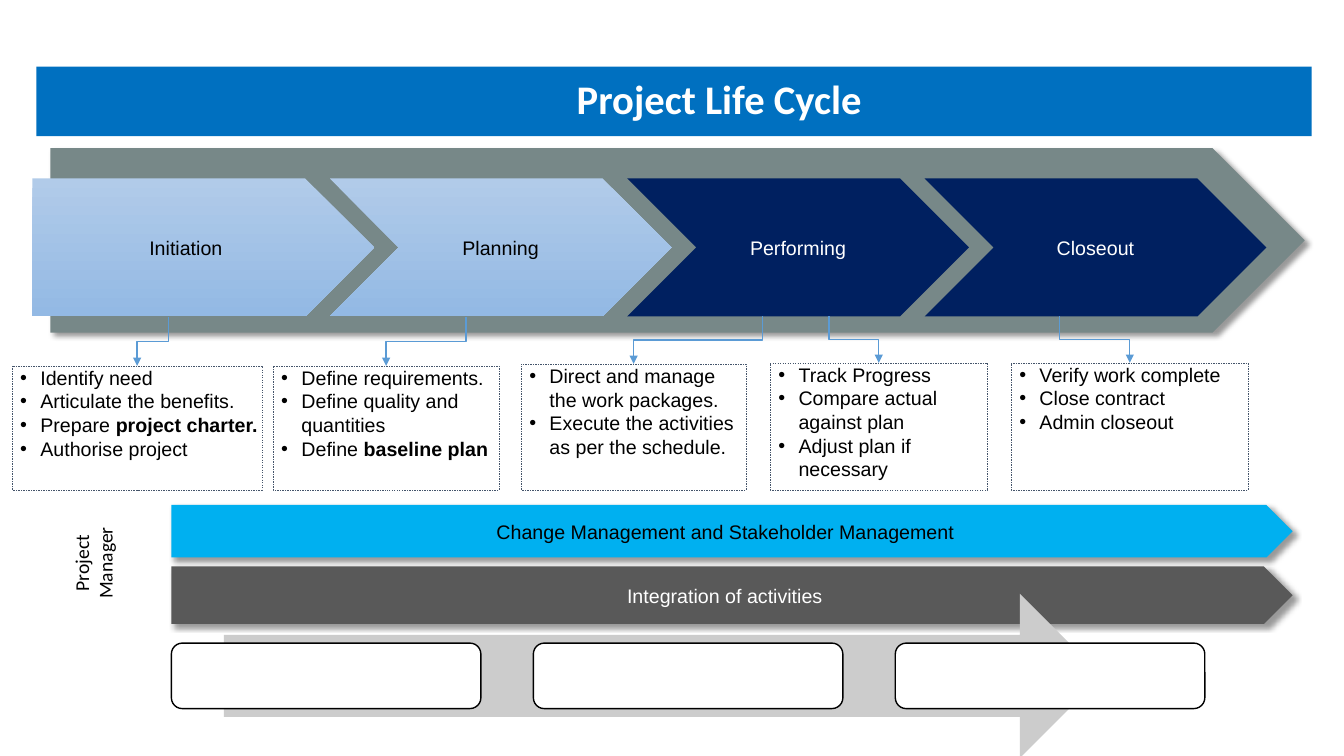
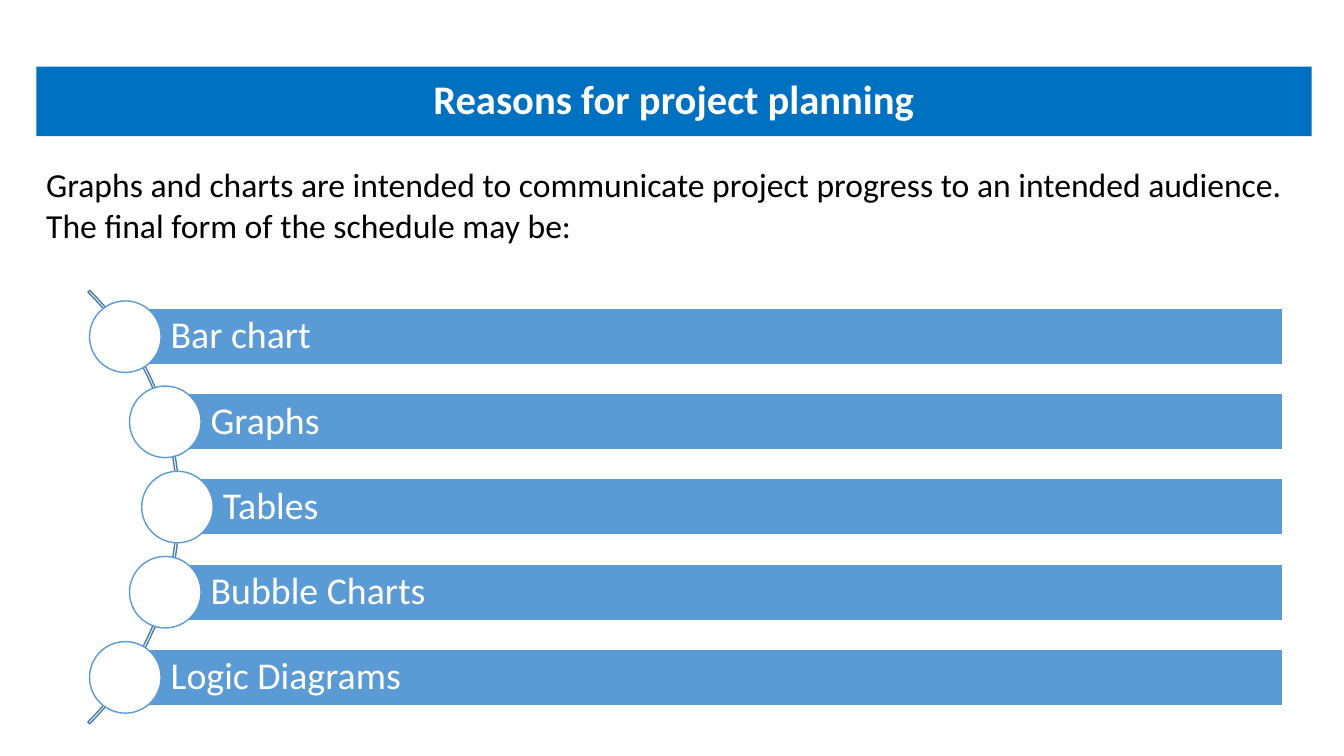
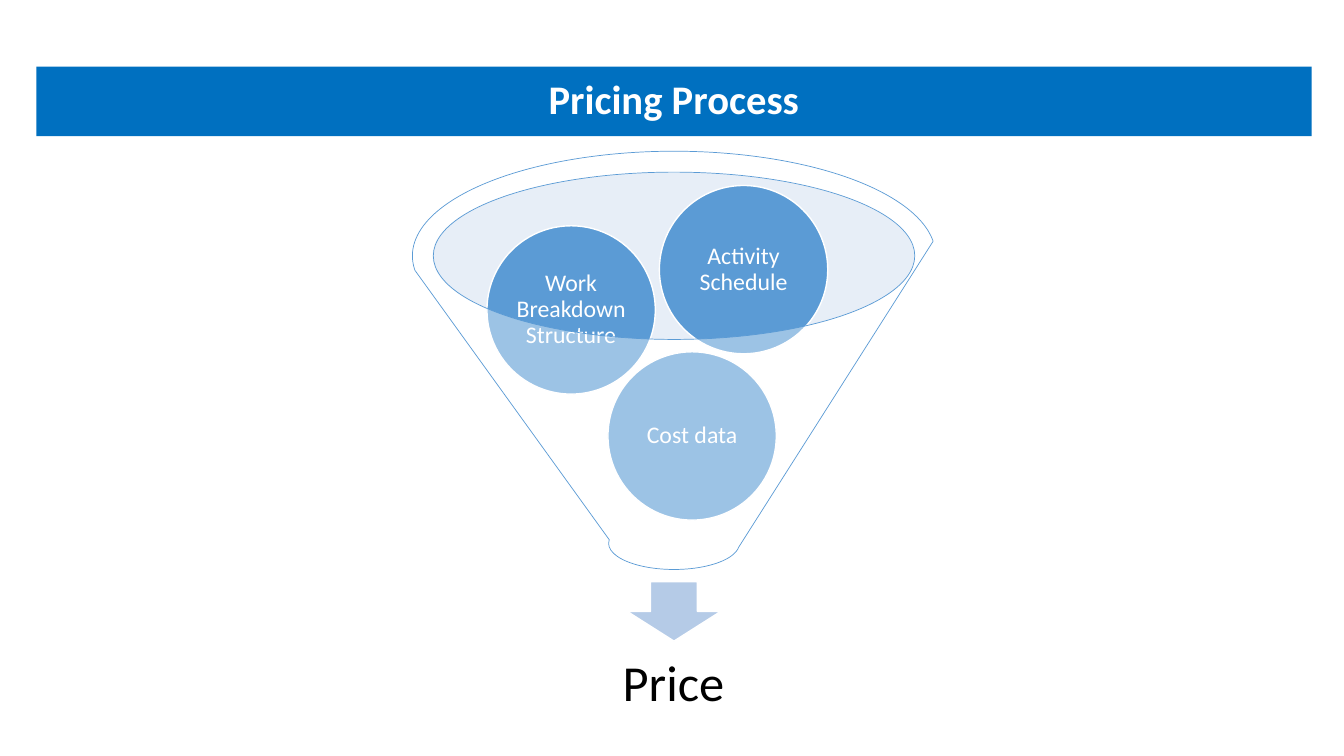
from math import sqrt

from lxml.etree import SubElement
from pptx import Presentation
from pptx.dml.color import RGBColor
from pptx.enum.dml import MSO_LINE
from pptx.enum.shapes import MSO_CONNECTOR, MSO_SHAPE
from pptx.enum.text import MSO_ANCHOR, MSO_AUTO_SIZE, PP_ALIGN
from pptx.oxml.ns import qn
from pptx.util import Emu, Pt

PX = 9144  # 100 px to the inch
BAND = (36, 66, 1265, 69)
BAND_BLUE = "0070C0"
ACCENT = "5B9BD5"
NAVY = "002060"
WHITE = "FFFFFF"
BLACK = "000000"
PALE_BLUES = ("B1CBE9", "93B9E4")


def px(length):
    return Emu(round(length * PX))


def rgb(hex_code):
    return RGBColor.from_string(hex_code)


def set_fill(shape, fill, opacity=None):
    """Fill with nothing, one colour, or a top-to-bottom pair of colours."""
    if fill is None:
        shape.fill.background()
    elif isinstance(fill, tuple):
        shape.fill.gradient()
        shape.fill.gradient_angle = 270
        for stop, colour in zip(shape.fill.gradient_stops, fill):
            stop.color.rgb = rgb(colour)
    else:
        shape.fill.solid()
        shape.fill.fore_color.rgb = rgb(fill)
        if opacity is not None:
            colour = shape._element.xpath("p:spPr/a:solidFill/a:srgbClr")[0]
            SubElement(colour, qn("a:alpha"), val=str(opacity * 1000))


def cast_shadow(shape):
    effects = shape._element.spPr.find(qn("a:effectLst"))
    shadow = SubElement(effects, qn("a:outerShdw"), blurRad=str(Pt(4)),
                        dist=str(Pt(3)), dir="2700000", algn="tl", rotWithShape="0")
    colour = SubElement(shadow, qn("a:srgbClr"), val=BLACK)
    SubElement(colour, qn("a:alpha"), val="40000")


def add_box(slide, kind, box, fill=None, opacity=None, line=None, width=1,
            dash=None, shadow=False):
    shape = slide.shapes.add_shape(kind, *map(px, box))
    set_fill(shape, fill, opacity)
    if line:
        shape.line.color.rgb = rgb(line)
        shape.line.width = Pt(width)
        if dash:
            shape.line.dash_style = dash
    else:
        shape.line.fill.background()
    shape.shadow.inherit = False
    if shadow:
        cast_shadow(shape)
    return shape


def add_bullet(paragraph):
    properties = paragraph._p.get_or_add_pPr()
    properties.set("marL", str(px(20)))
    properties.set("indent", str(-px(20)))
    SubElement(properties, qn("a:buFont"), typeface="Arial")
    SubElement(properties, qn("a:buChar"), char="•")


def write(shape, *paragraphs, size=14, font="Arial", colour=BLACK, bold=False,
          align=PP_ALIGN.CENTER, anchor=MSO_ANCHOR.MIDDLE, insets=(10, 5, 10, 5),
          spacing=None, bullets=False):
    """A paragraph is a string, or a pair of plain text and bold text."""
    frame = shape.text_frame
    frame.word_wrap = True
    frame.auto_size = MSO_AUTO_SIZE.NONE
    frame.vertical_anchor = anchor
    (frame.margin_left, frame.margin_top,
     frame.margin_right, frame.margin_bottom) = map(px, insets)
    for index, content in enumerate(paragraphs):
        paragraph = frame.add_paragraph() if index else frame.paragraphs[0]
        paragraph.alignment = align
        if spacing:
            paragraph.line_spacing = spacing
        if bullets:
            add_bullet(paragraph)
        parts = (content,) if isinstance(content, str) else content
        for position, words in enumerate(parts):
            run = paragraph.add_run()
            run.text = words
            run.font.name = font
            run.font.size = Pt(size)
            run.font.bold = bold or position > 0
            run.font.color.rgb = rgb(colour)


def add_label(slide, box, words, **style):
    label = slide.shapes.add_textbox(*map(px, box))
    write(label, words, font="Calibri", **style)
    return label


def add_titled_slide(prs, heading, indent=0):
    slide = prs.slides.add_slide(prs.slide_layouts[5])
    title = slide.shapes.title
    title.left, title.top, title.width, title.height = map(px, BAND)
    set_fill(title, BAND_BLUE)
    write(title, heading, size=29, font="Calibri", colour=WHITE, bold=True,
          spacing=0.9, insets=(10 + indent, 5, 10, 5))
    return slide


def add_drop_arrow(slide, start, end):
    """Elbow arrow that leaves downwards, steps sideways and drops onto its end."""
    (x1, y1), (x2, y2) = start, end
    run, rise = y2 - y1, abs(x2 - x1)
    left, top = (x1 + x2 - run) / 2, (y1 + y2 - rise) / 2
    arrow = slide.shapes.add_connector(MSO_CONNECTOR.ELBOW, px(left), px(top),
                                       px(left + run), px(top + rise))
    arrow.line.color.rgb = rgb(ACCENT)
    arrow.line.width = Pt(1)
    properties = arrow._element.spPr
    if x2 < x1:
        properties.xfrm.set("rot", "5400000")
    else:
        properties.xfrm.set("rot", "16200000")
        properties.xfrm.set("flipH", "1")
    SubElement(properties.find(qn("a:ln")), qn("a:tailEnd"), type="triangle")
    SubElement(properties, qn("a:effectLst"))


def add_phases(slide, left, top):
    add_box(slide, MSO_SHAPE.PENTAGON, (left + 18, top, 1244, 183),
            fill="778888", shadow=True)
    phases = (("Initiation", PALE_BLUES, BLACK), ("Planning", PALE_BLUES, BLACK),
              ("Performing", NAVY, WHITE), ("Closeout", NAVY, WHITE))
    for index, (name, fill, colour) in enumerate(phases):
        kind = MSO_SHAPE.CHEVRON if index else MSO_SHAPE.PENTAGON
        phase = add_box(slide, kind, (left + 295 * index, top + 30, 339, 137), fill=fill)
        write(phase, name, colour=colour)


def add_task_lists(slide, phase_bottom, bottom):
    lists = (
        (12, 363, 248, 167, ("Identify need", "Articulate the benefits.",
                             ("Prepare ", "project charter."), "Authorise project")),
        (271, 363, 224, 462, ("Define requirements.", "Define quality and quantities",
                              ("Define ", "baseline plan"))),
        (517, 361, 223, 756, ("Direct and manage the work packages.",
                              "Execute the activities as per the schedule.")),
        (764, 360, 215, 822, ("Track Progress", "Compare actual against plan",
                              "Adjust plan if necessary")),
        (1003, 360, 235, 1051, ("Verify work complete", "Close contract",
                                "Admin closeout")),
    )
    for left, top, width, source, tasks in lists:
        panel = add_box(slide, MSO_SHAPE.RECTANGLE, (left, top, width, bottom - top),
                        line="44546A", width=0.25, dash=MSO_LINE.DASH)
        write(panel, *tasks, align=PP_ALIGN.LEFT, anchor=MSO_ANCHOR.TOP,
              insets=(8, 0, 3, 0), bullets=True)
        add_drop_arrow(slide, (source, phase_bottom), (left + width / 2, top))


def add_manager_duties(slide, left, top):
    duties = (("Change Management and Stakeholder Management", 0, 52, "00B0F0", BLACK),
              ("Integration of activities", 61, 57, "595959", WHITE))
    for name, offset, height, fill, colour in duties:
        duty = add_box(slide, MSO_SHAPE.PENTAGON, (left, top + offset, 1112, height),
                       fill=fill, shadow=True)
        write(duty, name, colour=colour)
    role = add_label(slide, (left - 106, top, 67, 115), "Project Manager",
                     anchor=MSO_ANCHOR.TOP)
    role.text_frame._txBody.bodyPr.set("vert", "vert270")


def add_empty_steps(slide, left, top):
    add_box(slide, MSO_SHAPE.RIGHT_ARROW, (left + 52, top, 871, 163), fill="CCCCCC")
    for index in range(3):
        add_box(slide, MSO_SHAPE.ROUNDED_RECTANGLE,
                (left + 359 * index, top + 49, 307, 65), fill=WHITE, line=BLACK)


def add_curved_list(slide, items, centre_x, centre_y, right):
    """Bars whose round markers sit on an arc about the given centre."""
    arc_radius, marker_radius, pitch, bar_height = 304, 35.5, 84.5, 56
    arc = add_box(slide, MSO_SHAPE.BLOCK_ARC,
                  (centre_x - arc_radius, centre_y - arc_radius,
                   2 * arc_radius, 2 * arc_radius), line="497CAB")
    for index, value in enumerate((189, 27, 0.004)):
        arc.adjustments[index] = value
    for index, name in enumerate(items):
        drop = (index - (len(items) - 1) / 2) * pitch
        x = centre_x + sqrt((arc_radius - 2) ** 2 - drop ** 2)
        y = centre_y + drop
        bar = add_box(slide, MSO_SHAPE.RECTANGLE,
                      (x, y - bar_height / 2, right - x, bar_height),
                      fill=ACCENT, line=WHITE)
        write(bar, name, size=27, font="Calibri", colour=WHITE, align=PP_ALIGN.LEFT,
              insets=(45, 7, 7, 7), spacing=0.9)
        add_box(slide, MSO_SHAPE.OVAL,
                (x - marker_radius, y - marker_radius, 2 * marker_radius, 2 * marker_radius),
                fill=WHITE, line=ACCENT)


def add_price_funnel(slide, left, top):
    add_box(slide, MSO_SHAPE.OVAL, (left + 20, top + 21, 478, 166),
            fill="C4D5EB", opacity=40)
    add_box(slide, MSO_SHAPE.DOWN_ARROW, (left + 213, top + 427, 93, 59),
            fill="B5CBE7", line=WHITE)
    add_label(slide, (left + 37, top + 474, 444, 111), "Price", size=36, spacing=0.9)
    inputs = (("Cost data", 194, 199), ("Work Breakdown Structure", 74, 74),
              ("Activity Schedule", 245, 34))
    for name, x, y in inputs:
        ball = add_box(slide, MSO_SHAPE.OVAL, (left + x, top + y, 167, 167),
                       fill=ACCENT, line=WHITE)
        write(ball, name, size=17, font="Calibri", colour=WHITE,
              insets=(2, 2, 2, 2), spacing=0.9)
    add_box(slide, MSO_SHAPE.FUNNEL, (left, top, 519, 415),
            fill=WHITE, opacity=40, line=ACCENT, width=0.5)


def build_life_cycle(prs):
    slide = add_titled_slide(prs, "Project Life Cycle", indent=90)
    add_phases(slide, 32, 147)
    add_task_lists(slide, phase_bottom=314, bottom=486)
    add_manager_duties(slide, 170, 501)
    add_empty_steps(slide, 170, 589)


def build_planning_reasons(prs):
    slide = add_titled_slide(prs, "Reasons for project planning")
    add_curved_list(slide, ("Bar chart", "Graphs", "Tables", "Bubble Charts",
                            "Logic Diagrams"), -126, 503, right=1272)
    add_label(slide, (36, 158, 1265, 91),
              "Graphs and charts are intended to communicate project progress to an "
              "intended audience. The final form of the schedule may be:",
              size=24, align=PP_ALIGN.LEFT, anchor=MSO_ANCHOR.TOP)


def build_pricing_process(prs):
    slide = add_titled_slide(prs, "Pricing Process")
    add_price_funnel(slide, 409, 150)


def main():
    prs = Presentation()
    prs.slide_width, prs.slide_height = px(1333), px(750)
    build_life_cycle(prs)
    build_planning_reasons(prs)
    build_pricing_process(prs)
    prs.save("out.pptx")


if __name__ == "__main__":
    main()
